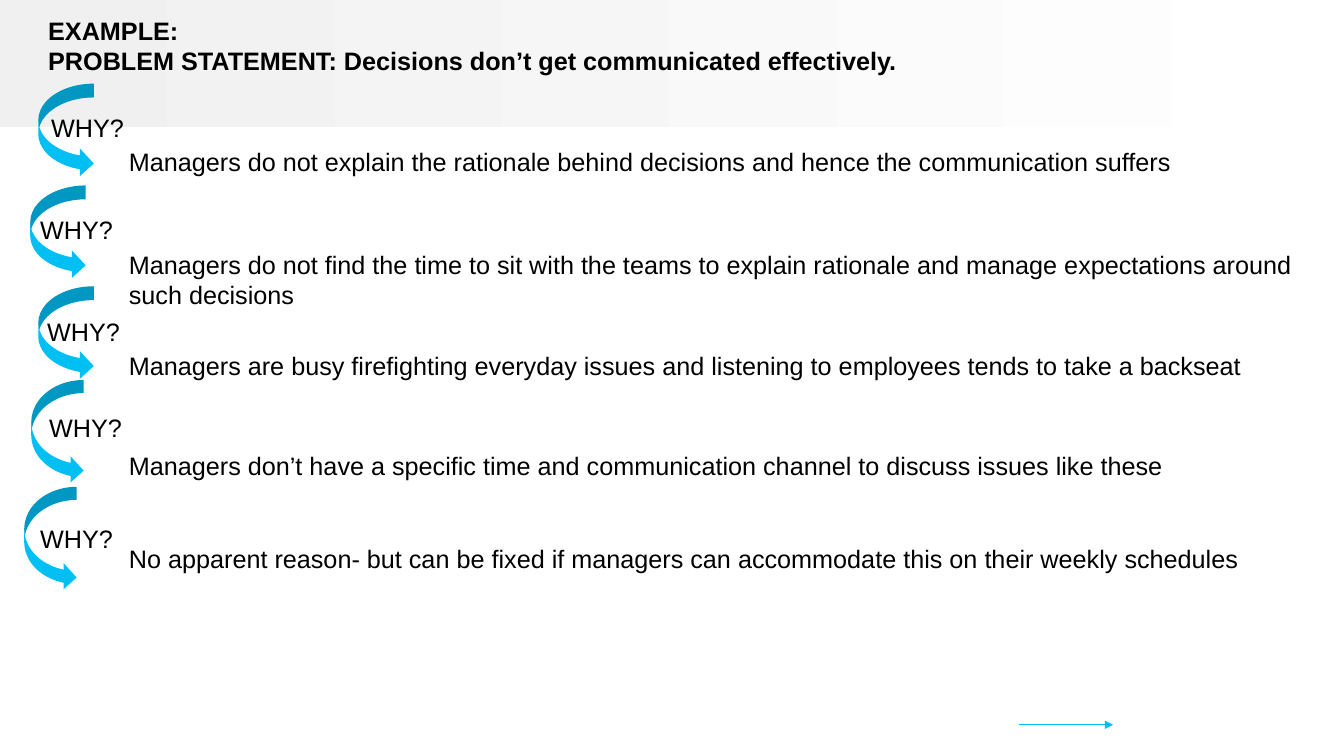
from dataclasses import dataclass

import pptx
import pptx.dml.color
import pptx.enum.dml
import pptx.enum.shapes
import pptx.enum.text
import pptx.oxml.ns
import pptx.shapes.autoshape
import pptx.slide
import pptx.util
from lxml import etree

Inches = pptx.util.Inches
Color = pptx.dml.color.RGBColor
Shapes = pptx.enum.shapes.MSO_SHAPE


@dataclass(frozen=True)
class Theme:
    font: str = "Arial"
    text_size: int = 18
    line_width: float = 0.5
    text: Color = Color(0x00, 0x00, 0x00)
    accent: Color = Color(0x00, 0xBF, 0xF3)
    band_start: Color = Color(0xF0, 0xF0, 0xF0)
    band_end: Color = Color(0xFF, 0xFF, 0xFF)


@dataclass(frozen=True)
class Area:
    left: float
    top: float
    width: float
    height: float

    def lengths(self) -> tuple:
        return tuple(Inches(n) for n in (self.left, self.top, self.width, self.height))


@dataclass(frozen=True)
class Step:
    """One question: its curved arrow, its label corner and its answer."""
    arrow: Area
    label_left: float
    label_top: float
    answer: Area
    answer_text: str
    wrap: bool = False


THEME = Theme()
ANSWER_LEFT = 1.18
LINE_HEIGHT = 0.4

STEPS = [
    Step(Area(0.38, 0.83, 0.55, 0.93), 0.41, 1.07,
         Area(ANSWER_LEFT, 1.4, 10.63, LINE_HEIGHT),
         "Managers do not explain the rationale behind decisions "
         "and hence the communication suffers"),
    Step(Area(0.3, 1.84, 0.55, 0.93), 0.3, 2.08,
         Area(ANSWER_LEFT, 2.42, 12.07, 0.71),
         "Managers do not find the time to sit with the teams to explain "
         "rationale and manage expectations around such decisions", wrap=True),
    Step(Area(0.38, 2.84, 0.55, 0.93), 0.37, 3.09,
         Area(ANSWER_LEFT, 3.43, 11.34, LINE_HEIGHT),
         "Managers are busy firefighting everyday issues and listening "
         "to employees tends to take a backseat"),
    Step(Area(0.31, 3.77, 0.52, 1.03), 0.39, 4.04,
         Area(ANSWER_LEFT, 4.42, 11.96, LINE_HEIGHT),
         "Managers don’t have a specific time and communication channel "
         "to discuss issues like these", wrap=True),
    Step(Area(0.24, 4.83, 0.52, 1.03), 0.3, 5.14,
         Area(ANSWER_LEFT, 5.34, 11.24, LINE_HEIGHT),
         "No apparent reason- but can be fixed if managers can accommodate "
         "this on their weekly schedules"),
]


def add_text(page: pptx.slide.Slide, area: Area, lines: list[str],
             wrap: bool = False, bold: bool = False) -> None:
    box = page.shapes.add_textbox(*area.lengths())
    frame = box.text_frame
    frame.word_wrap = wrap
    frame.auto_size = pptx.enum.text.MSO_AUTO_SIZE.SHAPE_TO_FIT_TEXT
    font_format = {"name": THEME.font, "size": pptx.util.Pt(THEME.text_size), "bold": bold}
    for number, line in enumerate(lines):
        para = frame.add_paragraph() if number else frame.paragraphs[0]
        span = para.add_run()
        span.text = line
        for name, value in font_format.items():
            setattr(span.font, name, value)
        span.font.color.rgb = THEME.text


def add_plain_shape(page: pptx.slide.Slide, kind: Shapes,
                    area: Area) -> pptx.shapes.autoshape.Shape:
    shape = page.shapes.add_shape(kind, *area.lengths())
    shape.shadow.inherit = False
    shape.line.fill.background()
    return shape


def add_band(page: pptx.slide.Slide) -> None:
    band = add_plain_shape(page, Shapes.RECTANGLE, Area(0, 0, 13.28, 1.26))
    band.fill.gradient()
    band.fill.gradient_angle = 0
    for stop, color in zip(band.fill.gradient_stops, (THEME.band_start, THEME.band_end)):
        stop.color.rgb = color


def add_step(page: pptx.slide.Slide, step: Step) -> None:
    arrow = add_plain_shape(page, Shapes.CURVED_RIGHT_ARROW, step.arrow)
    arrow.fill.solid()
    arrow.fill.fore_color.rgb = THEME.accent
    add_text(page, Area(step.label_left, step.label_top, 0.93, LINE_HEIGHT), ["WHY?"])
    add_text(page, step.answer, [step.answer_text], wrap=step.wrap)


def add_next_arrow(page: pptx.slide.Slide) -> None:
    arrow = page.shapes.add_connector(
        pptx.enum.shapes.MSO_CONNECTOR.STRAIGHT,
        Inches(10.11), Inches(7.19), Inches(11.04), Inches(7.19))
    arrow.line.color.rgb = THEME.accent
    arrow.line.width = pptx.util.Pt(THEME.line_width)
    # Arrowhead and no shadow
    qn = pptx.oxml.ns.qn
    properties = arrow.element.spPr
    etree.SubElement(properties.find(qn("a:ln")), qn("a:tailEnd"), type="triangle")
    etree.SubElement(properties, qn("a:effectLst"))


def main() -> None:
    deck = pptx.Presentation()
    deck.slide_width, deck.slide_height = Inches(13.33), Inches(7.5)
    page = deck.slides.add_slide(deck.slide_layouts[6])

    # Header
    add_band(page)
    add_text(page, Area(0.38, 0.1, 11.66, 0.71),
             ["EXAMPLE:",
              "PROBLEM STATEMENT: Decisions don’t get communicated effectively."],
             wrap=True, bold=True)

    # Chain of questions and answers
    for step in STEPS:
        add_step(page, step)

    # Pointer to the next page
    add_next_arrow(page)
    deck.save("out.pptx")


if __name__ == "__main__":
    main()
